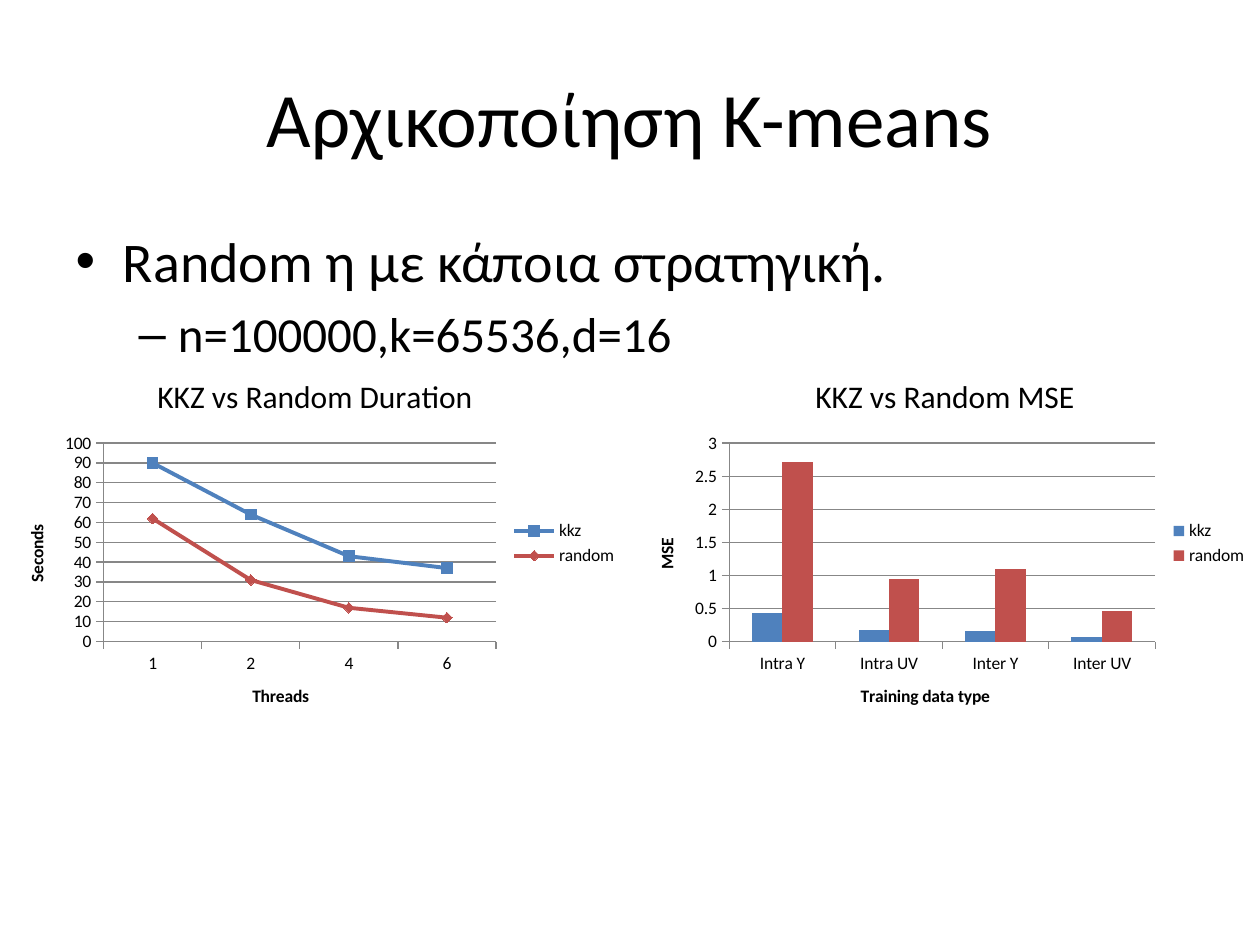
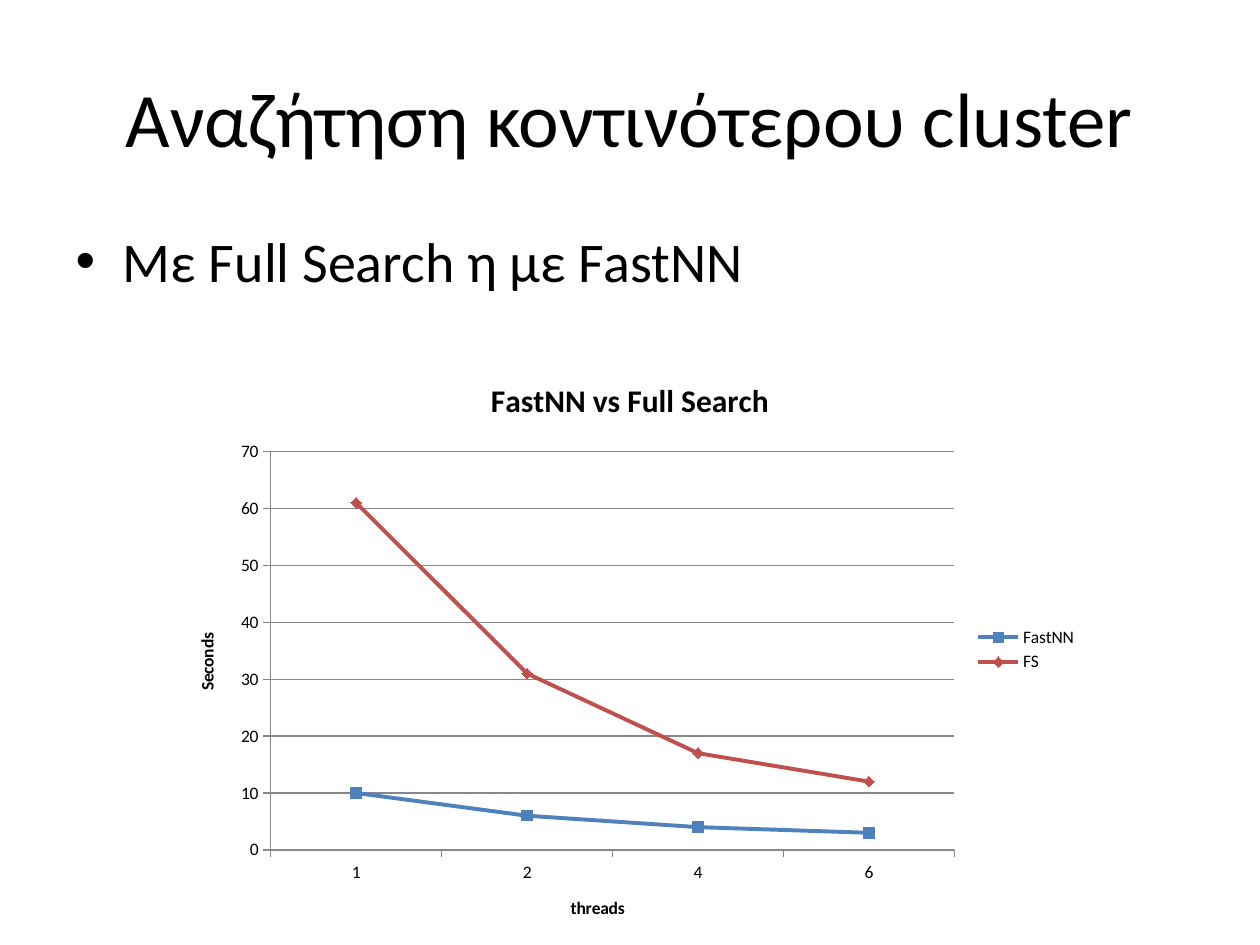
from pptx import Presentation
from pptx.chart.data import CategoryChartData
from pptx.dml.color import RGBColor
from pptx.enum.chart import XL_CHART_TYPE as ChartType
from pptx.enum.chart import XL_LEGEND_POSITION as LegendPosition
from pptx.enum.chart import XL_MARKER_STYLE as Marker
from pptx.enum.chart import XL_TICK_MARK as TickMark
from pptx.enum.text import MSO_ANCHOR as Anchor
from pptx.enum.text import PP_ALIGN as Align
from pptx.util import Inches, Pt

BLACK = RGBColor(0x00, 0x00, 0x00)
WHITE = RGBColor(0xFF, 0xFF, 0xFF)
AXIS_GRAY = RGBColor(0x87, 0x87, 0x87)
BLUE = RGBColor(0x4F, 0x81, 0xBD)
RED = RGBColor(0xC0, 0x50, 0x4D)

FONT = "Calibri"
COLUMNS, ROWS = 20, 30
TITLE_BOX = (1, 1.2, 18, 5)
BODY_BOX = (1, 7, 18, 19.8)
CHART_ROW = 11.25
LIST_SIZES = (32, 28)
SERIES_STYLES = ((BLUE, Marker.SQUARE), (RED, Marker.DIAMOND))
THREADS = ("1", "2", "4", "6")


class Deck:
    def __init__(self):
        self.presentation = Presentation()
        self.presentation.slide_width = Inches(10)
        self.presentation.slide_height = Inches(7.5)
        self.slide = None

    def box(self, column, row, width, height):
        column_width = self.presentation.slide_width / COLUMNS
        row_height = self.presentation.slide_height / ROWS
        return (int(column * column_width), int(row * row_height),
                int(width * column_width), int(height * row_height))

    def style_font(self, font, size, bold=False):
        font.name = FONT
        font.size = Pt(size)
        font.bold = bold
        font.color.rgb = BLACK

    def place(self, shape, box):
        shape.left, shape.top, shape.width, shape.height = self.box(*box)

    def add_slide(self, title, items):
        layout = self.presentation.slide_layouts[1]
        self.slide = self.presentation.slides.add_slide(layout)
        self.slide.background.fill.solid()
        self.slide.background.fill.fore_color.rgb = WHITE
        self.add_title(title)
        self.add_list(items)

    def add_title(self, text):
        shape = self.slide.shapes.title
        self.place(shape, TITLE_BOX)
        shape.text_frame.text = text
        shape.text_frame.vertical_anchor = Anchor.MIDDLE
        paragraph = shape.text_frame.paragraphs[0]
        paragraph.alignment = Align.CENTER
        self.style_font(paragraph.runs[0].font, 44)

    def add_list(self, items):
        shape = self.slide.placeholders[1]
        self.place(shape, BODY_BOX)
        shape.text_frame.text = "\n".join(items)
        for level, paragraph in enumerate(shape.text_frame.paragraphs):
            paragraph.level = level
            self.style_font(paragraph.runs[0].font, LIST_SIZES[level])

    def add_chart(self, kind, box, title, categories, series, axis_titles,
                  limits, bold_title=False):
        data = CategoryChartData()
        data.categories = categories
        for name, values in series.items():
            data.add_series(name, values)
        frame = self.slide.shapes.add_chart(kind, *self.box(*box), data)
        chart = frame.chart
        self.style_font(chart.font, 10)
        self.set_title(chart, title, 18, bold_title)
        chart.has_legend = True
        chart.legend.position = LegendPosition.RIGHT
        chart.legend.include_in_layout = False
        for axis, text in zip((chart.category_axis, chart.value_axis), axis_titles):
            self.set_title(axis, text, 10, True)
            axis.major_tick_mark = TickMark.OUTSIDE
            axis.minor_tick_mark = TickMark.NONE
            self.style_line(axis.format.line)
        value_axis = chart.value_axis
        value_axis.minimum_scale = 0
        value_axis.maximum_scale, value_axis.major_unit = limits
        value_axis.has_major_gridlines = True
        self.style_line(value_axis.major_gridlines.format.line)
        chart.plots[0].vary_by_categories = False
        return chart

    def add_line_chart(self, *arguments, **options):
        chart = self.add_chart(ChartType.LINE_MARKERS, *arguments, **options)
        for series, (color, marker) in zip(chart.series, SERIES_STYLES):
            series.smooth = False
            self.style_line(series.format.line, color, 2.25)
            series.marker.style = marker
            series.marker.size = 6
            series.marker.format.fill.solid()
            series.marker.format.fill.fore_color.rgb = color
            self.style_line(series.marker.format.line, color)

    def add_column_chart(self, *arguments, **options):
        chart = self.add_chart(ChartType.COLUMN_CLUSTERED, *arguments, **options)
        chart.plots[0].gap_width = 150
        chart.plots[0].overlap = 0
        for series, (color, _) in zip(chart.series, SERIES_STYLES):
            series.format.fill.solid()
            series.format.fill.fore_color.rgb = color

    def set_title(self, owner, text, size, bold):
        owner.has_title = True
        title = owner.chart_title if hasattr(owner, "chart_title") else owner.axis_title
        title.text_frame.text = text
        self.style_font(title.text_frame.paragraphs[0].runs[0].font, size, bold)

    def style_line(self, line, color=AXIS_GRAY, width=0.75):
        line.color.rgb = color
        line.width = Pt(width)


def main():
    deck = Deck()

    deck.add_slide("Αρχικοποίηση K-means",
                   ["Random η με κάποια στρατηγική.", "n=100000,k=65536,d=16"])
    deck.add_line_chart(
        (0, CHART_ROW, 10, 12), "KKZ vs Random Duration", THREADS,
        {"kkz": (90, 64, 43, 37), "random": (62, 31, 17, 12)},
        ("Threads", "Seconds"), (100, 10))
    deck.add_column_chart(
        (10, CHART_ROW, 10, 12), "ΚΚΖ vs Random MSE",
        ("Intra Y", "Intra UV", "Inter Y", "Inter UV"),
        {"kkz": (0.43, 0.18, 0.16, 0.07), "random": (2.71, 0.94, 1.09, 0.46)},
        ("Training data type", "MSE"), (3, 0.5))

    deck.add_slide("Αναζήτηση κοντινότερου cluster",
                   ["Με Full Search η με FastNN"])
    deck.add_line_chart(
        (2.7, CHART_ROW, 14.6, ROWS - CHART_ROW), "FastNN vs Full Search", THREADS,
        {"FastNN": (10, 6, 4, 3), "FS": (61, 31, 17, 12)},
        ("threads", "Seconds"), (70, 10), bold_title=True)

    deck.presentation.save("out.pptx")


if __name__ == "__main__":
    main()
